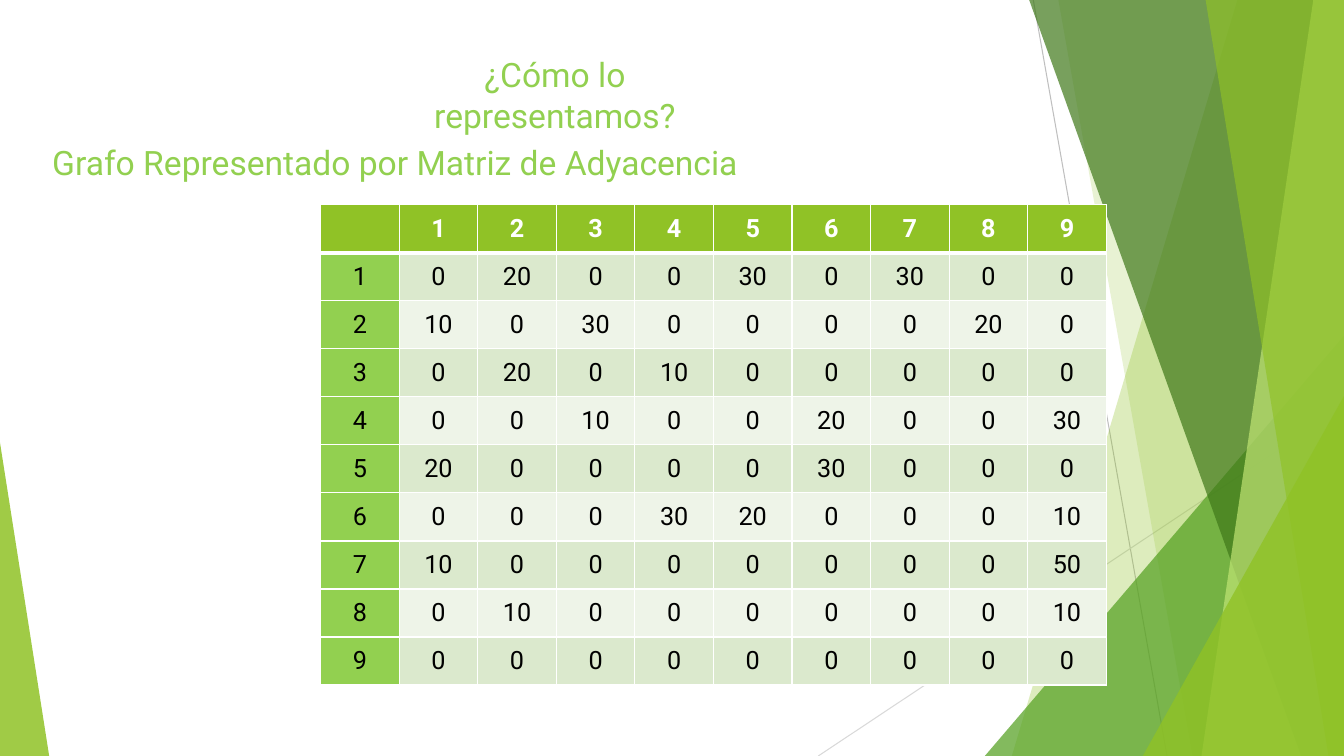
import lxml.etree
import pptx
import pptx.dml.color
import pptx.enum.shapes
import pptx.enum.text
import pptx.oxml.ns
import pptx.util

Cm = pptx.util.Cm
WIDE, HIGH = 33.87, 19.05
FONT = "Roboto"
COLORS = {
    "lime": "90C226",
    "green": "54A021",
    "dark": "3F7819",
    "pale": "C0E474",
    "label": "92D050",
    "odd": "DBE9CD",
    "even": "EEF4E8",
    "white": "FFFFFF",
    "black": "000000",
    "gray": "BFBFBF",
    "silver": "D9D9D9",
}
MATRIX = [
    [0, 20, 0, 0, 30, 0, 30, 0, 0],
    [10, 0, 30, 0, 0, 0, 0, 20, 0],
    [0, 20, 0, 10, 0, 0, 0, 0, 0],
    [0, 0, 10, 0, 0, 20, 0, 0, 30],
    [20, 0, 0, 0, 0, 30, 0, 0, 0],
    [0, 0, 0, 30, 20, 0, 0, 0, 10],
    [10, 0, 0, 0, 0, 0, 0, 0, 50],
    [0, 10, 0, 0, 0, 0, 0, 0, 10],
    [0, 0, 0, 0, 0, 0, 0, 0, 0],
]


def rgb(color):
    return pptx.dml.color.RGBColor.from_string(COLORS[color])


def add_node(parent, tag, **attrs):
    return lxml.etree.SubElement(parent, pptx.oxml.ns.qn(tag), attrs)


def write(frame, text, size=18, color="black", bold=False):
    para = frame.paragraphs[0]
    para.alignment = pptx.enum.text.PP_ALIGN.CENTER
    run = para.add_run()
    run.text = text
    font = run.font
    font.name, font.size, font.bold = FONT, pptx.util.Pt(size), bold
    font.color.rgb = rgb(color)


def set_head(shape, text, left, top, width):
    """Place a heading box and write its text."""
    shape.left, shape.top = Cm(left), Cm(top)
    shape.width, shape.height = Cm(width), Cm(1.27)
    frame = shape.text_frame
    frame.word_wrap = True
    frame.auto_size = pptx.enum.text.MSO_AUTO_SIZE.SHAPE_TO_FIT_TEXT
    frame.vertical_anchor = pptx.enum.text.MSO_ANCHOR.TOP
    write(frame, text, size=24, color="label")


def tint(shape, color, alpha):
    """Fill a shape with a see-through colour, alpha in percent."""
    shape.shadow.inherit = False
    shape.line.fill.background()
    shape.fill.solid()
    shape.fill.fore_color.rgb = rgb(color)
    node = shape.fill._xPr.find(".//" + pptx.oxml.ns.qn("a:srgbClr"))
    add_node(node, "a:alpha", val=str(alpha * 1000))


def add_line(slide, start, end, color):
    line = slide.shapes.add_connector(
        pptx.enum.shapes.MSO_CONNECTOR.STRAIGHT,
        *(Cm(value) for value in start + end))
    line.line.color.rgb = rgb(color)
    line.line.width = pptx.util.Pt(0.75)
    add_node(line._element.spPr, "a:effectLst")


def add_band(slide, upper, lower, color, alpha):
    """Fill from a slanted edge to the right side of the slide."""
    top = Cm(-0.02)
    build = slide.shapes.build_freeform(Cm(upper), top)
    build.add_line_segments([
        (Cm(WIDE), top), (Cm(WIDE), Cm(HIGH)), (Cm(lower), Cm(HIGH))])
    tint(build.convert_to_shape(), color, alpha)


def add_wedge(slide, left, right, top, apex, color, alpha):
    """Add a triangle that stands on the bottom of the slide."""
    shape = slide.shapes.add_shape(
        pptx.enum.shapes.MSO_SHAPE.ISOSCELES_TRIANGLE,
        Cm(left), Cm(top), Cm(right - left), Cm(HIGH - top))
    shape.adjustments[0] = apex
    tint(shape, color, alpha)


def set_edges(cell, row):
    props = cell._tc.get_or_add_tcPr()
    for side in "LRTB":
        thick = (row, side) in ((0, "B"), (1, "T"))
        edge = add_node(props, f"a:ln{side}",
                        w=str(pptx.util.Pt(3 if thick else 1)))
        fill = add_node(edge, "a:solidFill")
        add_node(fill, "a:srgbClr", val=COLORS["white"])


def add_matrix(slide):
    count = len(MATRIX) + 1
    wide, high = 1.98, 1.21
    table = slide.shapes.add_table(
        count, count, Cm(8.08), Cm(5.16),
        Cm(wide * count), Cm(high * count)).table
    rows = [["", *range(1, count)]]
    rows += [[num, *vals] for num, vals in enumerate(MATRIX, 1)]
    for row, vals in enumerate(rows):
        table.rows[row].height = Cm(high)
        table.columns[row].width = Cm(wide)
        for col, val in enumerate(vals):
            cell = table.cell(row, col)
            cell.vertical_anchor = pptx.enum.text.MSO_ANCHOR.MIDDLE
            set_edges(cell, row)
            if row == 0:
                color = "lime"
            elif col == 0:
                color = "label"
            else:
                color = "odd" if row % 2 else "even"
            cell.fill.solid()
            cell.fill.fore_color.rgb = rgb(color)
            write(cell.text_frame, str(val), bold=row == 0,
                  color="black" if row else "white")


def add_decor(slide):
    add_line(slide, (26.04, 0), (29.41, HIGH), "gray")
    add_line(slide, (WIDE, 10.24), (20.62, HIGH), "silver")
    add_band(slide, 31.19, 25.5, "lime", 30)
    add_band(slide, 26.67, 30.05, "lime", 20)
    add_wedge(slide, 24.82, WIDE, 8.46, 1, "green", 72)
    add_band(slide, 25.93, 32.79, "dark", 70)
    add_band(slide, 33.1, 30.28, "pale", 70)
    add_band(slide, 30.38, 33.48, "lime", 65)
    add_wedge(slide, 28.8, WIDE, 9.98, 1, "lime", 80)
    add_wedge(slide, 0, 1.24, 11.15, 0, "lime", 85)


def main():
    deck = pptx.Presentation()
    deck.slide_width, deck.slide_height = Cm(WIDE), Cm(HIGH)
    slide = deck.slides.add_slide(deck.slide_layouts[5])
    add_decor(slide)
    add_matrix(slide)
    set_head(slide.shapes.title, "¿Cómo lo representamos?", 8.89, 1.24, 10.19)
    box = slide.shapes.add_textbox(0, 0, 0, 0)
    set_head(box, "Grafo Representado por Matriz de Adyacencia",
             0.94, 3.45, 18.03)
    deck.save("out.pptx")


if __name__ == "__main__":
    main()
